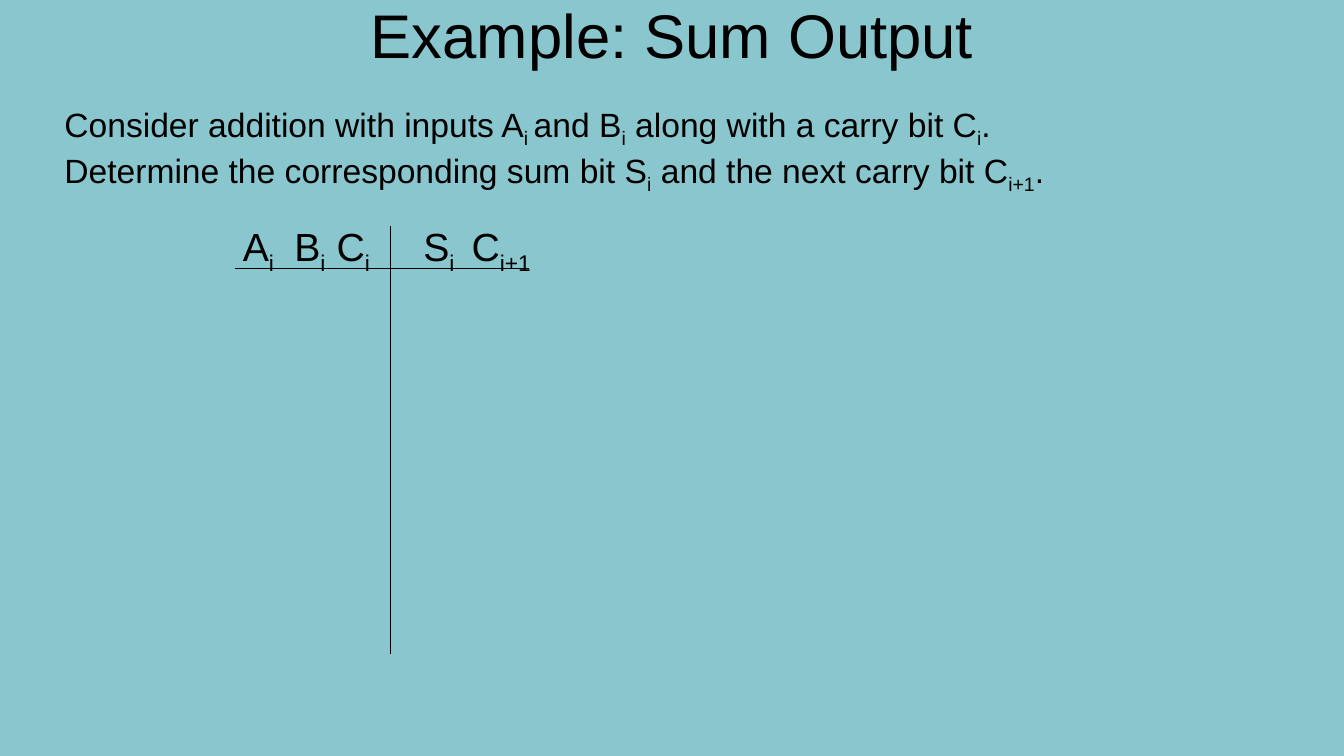
from lxml.etree import SubElement
from pptx import Presentation
from pptx.dml.color import RGBColor
from pptx.enum.shapes import MSO_CONNECTOR
from pptx.enum.text import MSO_ANCHOR, PP_ALIGN
from pptx.oxml.ns import qn
from pptx.util import Inches, Pt

COLORS = {"background": "8AC6CD", "ink": "000000"}
FONT = "Arial"
SLIDE_WIDTH, SLIDE_HEIGHT = 13.33, 7.5

# Every second piece between bars is a subscript.
TITLE = "Example: Sum Output"
EXPLANATION = (
    "Consider addition with inputs A|i |and B|i| along with a carry bit C|i|. "
    "Determine the corresponding sum bit S|i| and the next carry bit C|i+1|."
)
# Column heading, left edge, width
COLUMNS = [
    ("A|i", 2.31, 0.52),
    ("B|i", 2.82, 0.52),
    ("C|i", 3.24, 0.54),
    ("S|i", 4.1, 0.52),
    ("C|i+1", 4.58, 0.84),
]
HEADING_TOP, HEADING_HEIGHT = 2.16, 0.57
TABLE_LEFT, TABLE_RIGHT = 2.33, 5.25
TABLE_TOP, TABLE_BOTTOM = 2.24, 6.49
HEADING_RULE, DIVIDER = 2.66, 3.87


def add_text(slide, text, box, size, wrap=True, centred=False):
    text_box = slide.shapes.add_textbox(*map(Inches, box))
    frame = text_box.text_frame
    frame.word_wrap = wrap
    frame.vertical_anchor = MSO_ANCHOR.MIDDLE if centred else MSO_ANCHOR.TOP
    paragraph = frame.paragraphs[0]
    paragraph.alignment = PP_ALIGN.CENTER if centred else PP_ALIGN.LEFT
    for index, piece in enumerate(text.split("|")):
        run = paragraph.add_run()
        run.text = piece
        for name, value in {"name": FONT, "size": Pt(size)}.items():
            setattr(run.font, name, value)
        run.font.color.rgb = RGBColor.from_string(COLORS["ink"])
        if index % 2:
            run._r.get_or_add_rPr().set("baseline", "-25000")


def add_line(slide, *ends):
    line = slide.shapes.add_connector(MSO_CONNECTOR.STRAIGHT, *map(Inches, ends))
    line.line.color.rgb = RGBColor.from_string(COLORS["ink"])
    line.line.width = Pt(0.75)
    SubElement(line._element.spPr, qn("a:effectLst"))


def main():
    presentation = Presentation()
    presentation.slide_width = Inches(SLIDE_WIDTH)
    presentation.slide_height = Inches(SLIDE_HEIGHT)
    slide = presentation.slides.add_slide(presentation.slide_layouts[6])
    fill = slide.background.fill
    fill.solid()
    fill.fore_color.rgb = RGBColor.from_string(COLORS["background"])

    add_text(slide, TITLE, (1.84, -0.15, 9.66, 0.98), 44, centred=True)
    add_text(slide, EXPLANATION, (0.54, 0.98, 10.77, 0.91), 24)
    for heading, left, width in COLUMNS:
        box = (left, HEADING_TOP, width, HEADING_HEIGHT)
        add_text(slide, heading, box, 28, wrap=False)
    add_line(slide, TABLE_LEFT, HEADING_RULE, TABLE_RIGHT, HEADING_RULE)
    add_line(slide, DIVIDER, TABLE_TOP, DIVIDER, TABLE_BOTTOM)

    presentation.save("out.pptx")


if __name__ == "__main__":
    main()
